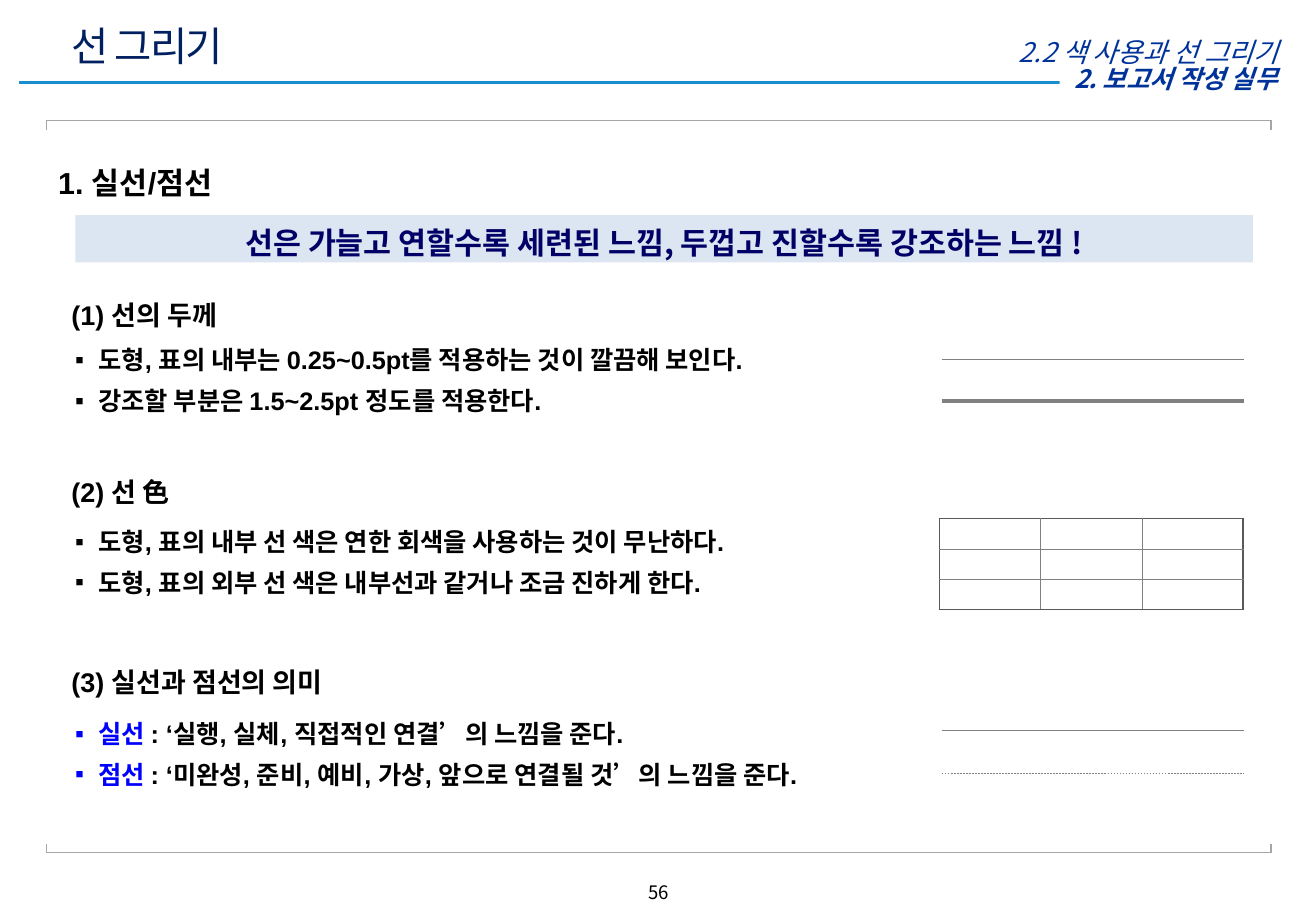
from lxml.etree import SubElement
from pptx import Presentation
from pptx.dml.color import RGBColor
from pptx.enum.dml import MSO_LINE
from pptx.enum.shapes import MSO_CONNECTOR, MSO_SHAPE
from pptx.enum.text import MSO_ANCHOR, PP_ALIGN
from pptx.oxml.ns import qn
from pptx.util import Inches, Pt

NOTO = "Noto Sans CJK KR"
GRAY, DARK, FRAME = "808080", "595959", "A6A6A6"
BLACK, BLUE, NAVY = "000000", "0000FF", "003399"


def color(code):
    return RGBColor.from_string(code)


class Page:
    """Holds the shared style and the current slide."""

    def __init__(self, deck):
        self.slide = deck.slides.add_slide(deck.slide_layouts[5])
        self.shapes = self.slide.shapes

    def style(self, para, size, face="Arial", tint=BLACK, bold=False, slant=False):
        font = para.font
        font.name, font.size = face, Pt(size)
        font.bold, font.italic = bold, slant
        font.color.rgb = color(tint)
        SubElement(font._element, qn("a:ea")).set("typeface", NOTO)

    def indent(self, para, left=0.19, mark=None, tint=BLACK):
        """Set a hanging indent and, if given, a bullet."""
        props = para._p.get_or_add_pPr()
        props.set("marL", str(Inches(left)))
        props.set("indent", str(Inches(-0.19)))
        if mark:
            hue = SubElement(props, qn("a:buClr"))
            SubElement(hue, qn("a:srgbClr")).set("val", tint)
            SubElement(props, qn("a:buFont")).set("typeface", "Arial")
            SubElement(props, qn("a:buChar")).set("char", mark)

    def title(self, text, box):
        shape = self.shapes.title
        shape.left, shape.top, shape.width, shape.height = map(Inches, box)
        frame = shape.text_frame
        frame.text = text
        frame.word_wrap = True
        frame.vertical_anchor = MSO_ANCHOR.MIDDLE
        para = frame.paragraphs[0]
        para.alignment = PP_ALIGN.LEFT
        self.style(para, 24, NOTO, "002060")
        para.runs[0].font._element.set("spc", "-100")

    def frame(self, box, anchor=MSO_ANCHOR.TOP):
        frame = self.shapes.add_textbox(*map(Inches, box)).text_frame
        frame.word_wrap = True
        frame.vertical_anchor = anchor
        return frame

    def label(self, text, box, align, size, tint, slant=False):
        para = self.frame(box).paragraphs[0]
        para.text = text
        para.alignment = align
        self.style(para, size, NOTO, tint, slant=slant)

    def head(self, text, box, size=16, left=0.19, space=None, anchor=MSO_ANCHOR.MIDDLE):
        para = self.frame(box, anchor).paragraphs[0]
        para.text = text
        self.indent(para, left)
        para.line_spacing = space
        self.style(para, size, bold=True)

    def points(self, items, box):
        """Add bullets; an item is (key word in blue or "", text)."""
        frame = self.frame(box, MSO_ANCHOR.MIDDLE)
        for i, (key, text) in enumerate(items):
            para = frame.add_paragraph() if i else frame.paragraphs[0]
            if i:
                para.space_before = Pt(6)
            self.indent(para, mark="▪", tint=BLUE if key else BLACK)
            self.style(para, 15, bold=True)
            if key:
                run = para.add_run()
                run.text = key
                run.font.color.rgb = color(BLUE)
            para.add_run().text = text

    def band(self, text, box, fill, size, tint, slant=False, left=0.1, space=None):
        shape = self.shapes.add_shape(MSO_SHAPE.RECTANGLE, *map(Inches, box))
        shape.shadow.inherit = False
        shape.fill.solid()
        shape.fill.fore_color.rgb = color(fill)
        shape.line.fill.background()
        frame = shape.text_frame
        frame.margin_left = Inches(left)
        frame.word_wrap = False
        frame.vertical_anchor = MSO_ANCHOR.MIDDLE
        para = frame.paragraphs[0]
        para.text = text
        para.alignment = PP_ALIGN.CENTER
        para.line_spacing = space
        self.style(para, size, NOTO, tint, True, slant)

    def line(self, x1, y1, x2, y2, tint, width, dash=None):
        ends = map(Inches, (x1, y1, x2, y2))
        link = self.shapes.add_connector(MSO_CONNECTOR.STRAIGHT, *ends)
        link.line.color.rgb = color(tint)
        link.line.width = Pt(width)
        if dash:
            link.line.dash_style = dash
        SubElement(link._element.spPr, qn("a:effectLst"))

    def grid(self, rows, cols, box):
        """Add an empty table with dark outer and pale inner lines."""
        table = self.shapes.add_table(rows, cols, *map(Inches, box)).table
        table.first_row = table.horz_banding = False
        for r in range(rows):
            for c in range(cols):
                cell = table.cell(r, c)
                cell.margin_top = cell.margin_bottom = 0
                end = SubElement(cell.text_frame.paragraphs[0]._p, qn("a:endParaRPr"))
                end.set("sz", "800")
                sides = {"L": c == 0, "R": c == cols - 1,
                         "T": r == 0, "B": r == rows - 1}
                for side, outer in sides.items():
                    self.edge(cell, side, *((DARK, 1) if outer else (GRAY, 0.25)))
                cell.fill.background()

    def edge(self, cell, side, tint, width):
        props = cell._tc.get_or_add_tcPr()
        rule = SubElement(props, qn("a:ln" + side))
        rule.set("w", str(Pt(width)))
        fill = SubElement(rule, qn("a:solidFill"))
        SubElement(fill, qn("a:srgbClr")).set("val", tint)


def main():
    deck = Presentation()
    deck.slide_width, deck.slide_height = Inches(10.83), Inches(7.5)
    page = Page(deck)

    page.title("선 그리기", (0.49, 0.19, 6.38, 0.37))
    page.line(0.16, 0.68, 10.59, 0.68, "188DD0", 2)
    page.label("56", (4.39, 7.2, 2.06, 0.25), PP_ALIGN.CENTER, 11, BLACK)
    page.band("2. 보고서 작성 실무", (8.72, 0.52, 1.97, 0.25), "FFFFFF", 15, NAVY,
              slant=True, left=0.04)
    page.label("2.2 색 사용과 선 그리기", (7.15, 0.24, 3.47, 0.3), PP_ALIGN.RIGHT,
               16, NAVY, slant=True)

    left, right = 0.38, 10.46
    for y, tip in ((0.99, 1.07), (7.02, 6.95)):
        page.line(left, y, right, y, FRAME, 0.75)
        for x in (left, right):
            page.line(x, y, x, tip, FRAME, 0.75)

    page.head("1. 실선/점선", (0.28, 1.15, 10.02, 0.55), 18, 0.29, 1.5, MSO_ANCHOR.TOP)
    page.band("선은 가늘고 연할수록 세련된 느낌, 두껍고 진할수록 강조하는 느낌 !",
              (0.62, 1.77, 9.69, 0.39), "DCE6F2", 18, "000066", space=1.2)

    parts = (
        ("(1) 선의 두께", 2.36, 2.8, 0.66, (
            ("", "도형, 표의 내부는 0.25~0.5pt를 적용하는 것이 깔끔해 보인다."),
            ("", "강조할 부분은 1.5~2.5pt 정도를 적용한다."))),
        ("(2) 선 色", 3.81, 4.23, 0.79, (
            ("", "도형, 표의 내부 선 색은 연한 회색을 사용하는 것이 무난하다."),
            ("", "도형, 표의 외부 선 색은 내부선과 같거나 조금 진하게 한다."))),
        ("(3) 실선과 점선의 의미", 5.38, 5.85, 0.71, (
            ("실선 ", ": ‘실행, 실체, 직접적인 연결’의 느낌을 준다."),
            ("점선 ", ": ‘미완성, 준비, 예비, 가상, 앞으로 연결될 것’의 느낌을 준다."))),
    )
    for name, top, start, height, items in parts:
        page.head(name, (0.49, top, 7.56, 0.47))
        page.points(items, (0.52, start, 7.56, height))

    samples = ((2.96, 0.25, None), (3.3, 2.25, None),
               (6.01, 0.25, None), (6.37, 0.25, MSO_LINE.DASH))
    for y, width, dash in samples:
        page.line(7.75, y, 10.24, y, GRAY, width, dash)
    page.grid(3, 3, (7.73, 4.27, 2.5, 0.75))

    deck.save("out.pptx")


if __name__ == "__main__":
    main()
